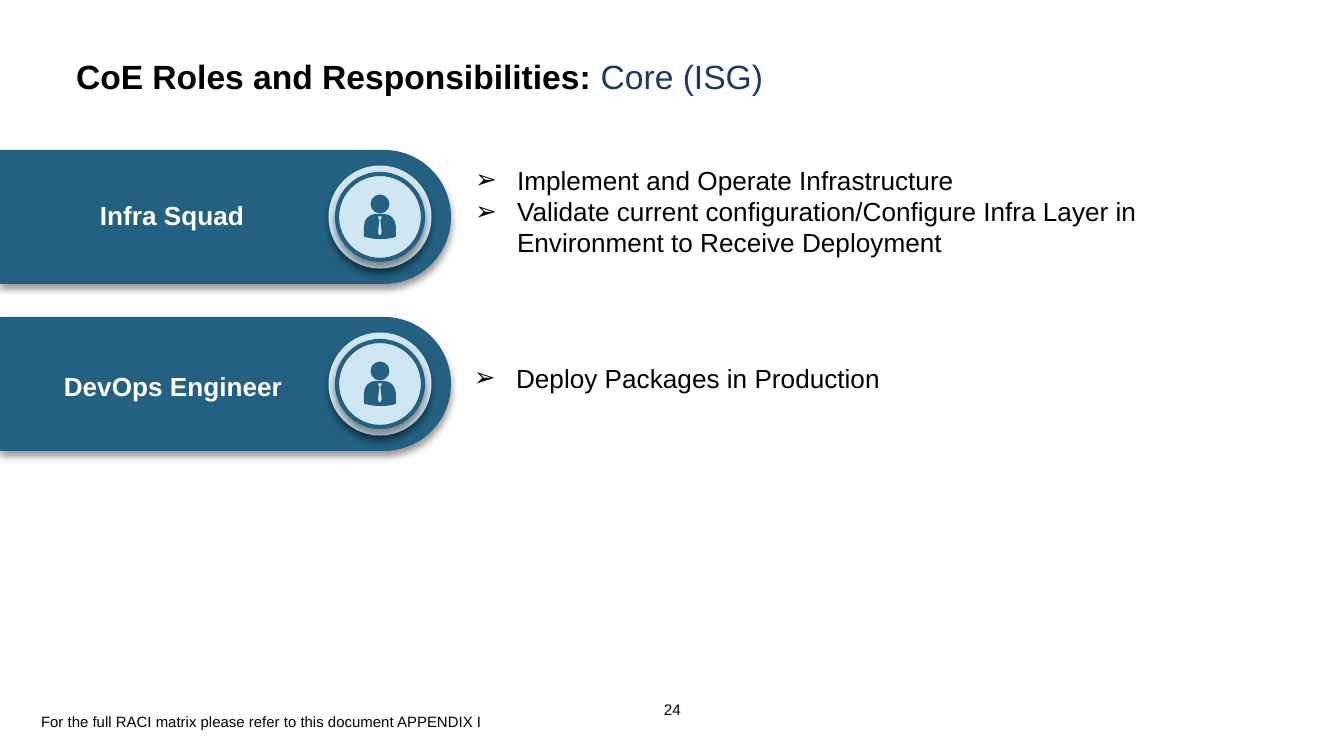
from lxml import etree
from pptx import Presentation
from pptx.dml.color import RGBColor
from pptx.enum.shapes import MSO_SHAPE
from pptx.enum.text import MSO_ANCHOR, PP_ALIGN
from pptx.oxml.ns import qn
from pptx.util import Pt

OVAL, TAB = MSO_SHAPE.OVAL, MSO_SHAPE.ROUND_2_SAME_RECTANGLE
LEFT, CENTER = PP_ALIGN.LEFT, PP_ALIGN.CENTER
TOP, MIDDLE = MSO_ANCHOR.TOP, MSO_ANCHOR.MIDDLE

TITLE = [("CoE Roles and Responsibilities: ", "000000", True),
         ("Core (ISG)", "203864", False)]
ROLES = [
    {"name": "Infra Squad", "name_box": (17, 192, 310, 46),
     "duties": ["Implement and Operate Infrastructure",
                "Validate current configuration/Configure Infra Layer in "
                "Environment to Receive Deployment"],
     "duties_box": (462, 157, 836, 109)},
    {"name": "DevOps Engineer", "name_box": (11, 363, 324, 46),
     "duties": ["Deploy Packages in Production"],
     "duties_box": (461, 355, 836, 46)},
]
FOOTNOTE = "For the full RACI matrix please refer to this document APPENDIX I"
PAGE_NUMBER = "24"

TORSO = [(110, 0), (200, 0), (243, 9), (281, 33), (306, 71), (318, 118),
         (318, 228), (281, 241), (215, 250), (160, 252), (100, 248),
         (50, 240), (0, 228), (0, 118), (11, 71), (37, 33), (75, 9)]
KNOT = [(140, 24), (178, 24), (178, 32), (167, 64), (152, 64), (140, 32)]
TIE = [(153, 67), (165, 67), (178, 185), (167, 212), (150, 212), (140, 185)]

BLUE, PALE, BLACK, WHITE = "236081", "D0E6F2", "000000", "FFFFFF"
SLIDE_W, SLIDE_H = 1344, 756
PX = 9144000 / SLIDE_W
TAB_W, TAB_H, TAB_TOP, ROW_STEP = 451, 134, 150, 167
BADGE_X, INDENT = 380, 42


def px(length):
    return round(length * PX)


def color(value):
    return RGBColor.from_string(value)


def paint(shape, fill, line=None):
    shape.shadow.inherit = False
    shape.fill.solid()
    shape.fill.fore_color.rgb = color(fill)
    if line:
        shape.line.color.rgb = color(line)
        shape.line.width = Pt(2.25)
    else:
        shape.line.fill.background()
    return shape


def cast_shadow(shape):
    effects = shape._element.spPr.find(qn("a:effectLst"))
    shadow = etree.SubElement(
        effects, qn("a:outerShdw"), blurRad=str(Pt(4)), dist=str(Pt(3)),
        dir="5400000", algn="t", rotWithShape="0")
    black = etree.SubElement(shadow, qn("a:srgbClr"), val=BLACK)
    etree.SubElement(black, qn("a:alpha"), val="40000")


def add_disc(slide, center_x, center_y, size, fill, line=None):
    return paint(slide.shapes.add_shape(
        OVAL, px(center_x - size / 2), px(center_y - size / 2),
        px(size), px(size)), fill, line)


def add_tab(slide, top):
    tab = paint(slide.shapes.add_shape(
        TAB, px((TAB_W - TAB_H) / 2), px(top - (TAB_W - TAB_H) / 2),
        px(TAB_H), px(TAB_W)), BLUE)
    tab.rotation = 90
    tab.adjustments[0], tab.adjustments[1] = 0.5, 0
    cast_shadow(tab)


def add_badge(slide, middle):
    cast_shadow(add_disc(slide, BADGE_X, middle, 103, PALE))
    cast_shadow(add_disc(slide, BADGE_X, middle, 86, PALE, BLUE))
    add_disc(slide, BADGE_X, middle - 13, 19, BLUE)
    torso = slide.shapes.build_freeform(*TORSO[0], scale=PX / 10)
    torso.add_line_segments(TORSO[1:])
    for cutout in (KNOT, TIE):
        torso.move_to(*cutout[0])
        torso.add_line_segments(cutout[1:])
    paint(torso.convert_to_shape(px(BADGE_X - 16), px(middle - 3)), BLUE)


def add_text(slide, box, paragraphs, size, align=LEFT, anchor=TOP,
             margins=(13, 7), wrap=True):
    frame = slide.shapes.add_textbox(*map(px, box)).text_frame
    frame.word_wrap = wrap
    frame.vertical_anchor = anchor
    frame.margin_left = frame.margin_right = px(margins[0])
    frame.margin_top = frame.margin_bottom = px(margins[1])
    for index, runs in enumerate(paragraphs):
        paragraph = frame.paragraphs[0] if index == 0 else frame.add_paragraph()
        paragraph.alignment = align
        paragraph.font.name, paragraph.font.size = "Arial", Pt(size)
        for words, ink, bold in runs:
            run = paragraph.add_run()
            run.text = words
            run.font.name, run.font.size = "Arial", Pt(size)
            run.font.color.rgb, run.font.bold = color(ink), bold
    return frame


def add_bullets(frame):
    for paragraph in frame.paragraphs:
        props = paragraph._p.get_or_add_pPr()
        props.set("marL", str(px(INDENT)))
        props.set("indent", str(-px(INDENT)))
        bullet_color = etree.Element(qn("a:buClr"))
        etree.SubElement(bullet_color, qn("a:srgbClr"), val=BLACK)
        props.insert(0, bullet_color)
        props.insert(1, etree.Element(qn("a:buFont"), typeface="Arial"))
        props.insert(2, etree.Element(qn("a:buChar"), char="➢"))


def main():
    deck = Presentation()
    deck.slide_width, deck.slide_height = px(SLIDE_W), px(SLIDE_H)
    slide = deck.slides.add_slide(deck.slide_layouts[6])
    add_text(slide, (664, 700, 27, 19), [[(PAGE_NUMBER, BLACK, False)]], 8.2,
             margins=(0, 0), wrap=False)
    add_text(slide, (63, 43, 1214, 67), [TITLE], 18, anchor=MIDDLE,
             margins=(13, 13))
    for row, role in enumerate(ROLES):
        top = TAB_TOP + row * ROW_STEP
        add_tab(slide, top)
        add_badge(slide, top + TAB_H // 2)
        add_text(slide, role["name_box"], [[(role["name"], WHITE, True)]], 14,
                 align=CENTER)
        add_bullets(add_text(
            slide, role["duties_box"],
            [[(duty, BLACK, False)] for duty in role["duties"]], 14))
    add_text(slide, (28, 706, 520, 32), [[(FOOTNOTE, BLACK, False)]], 8)
    deck.save("out.pptx")


if __name__ == "__main__":
    main()
